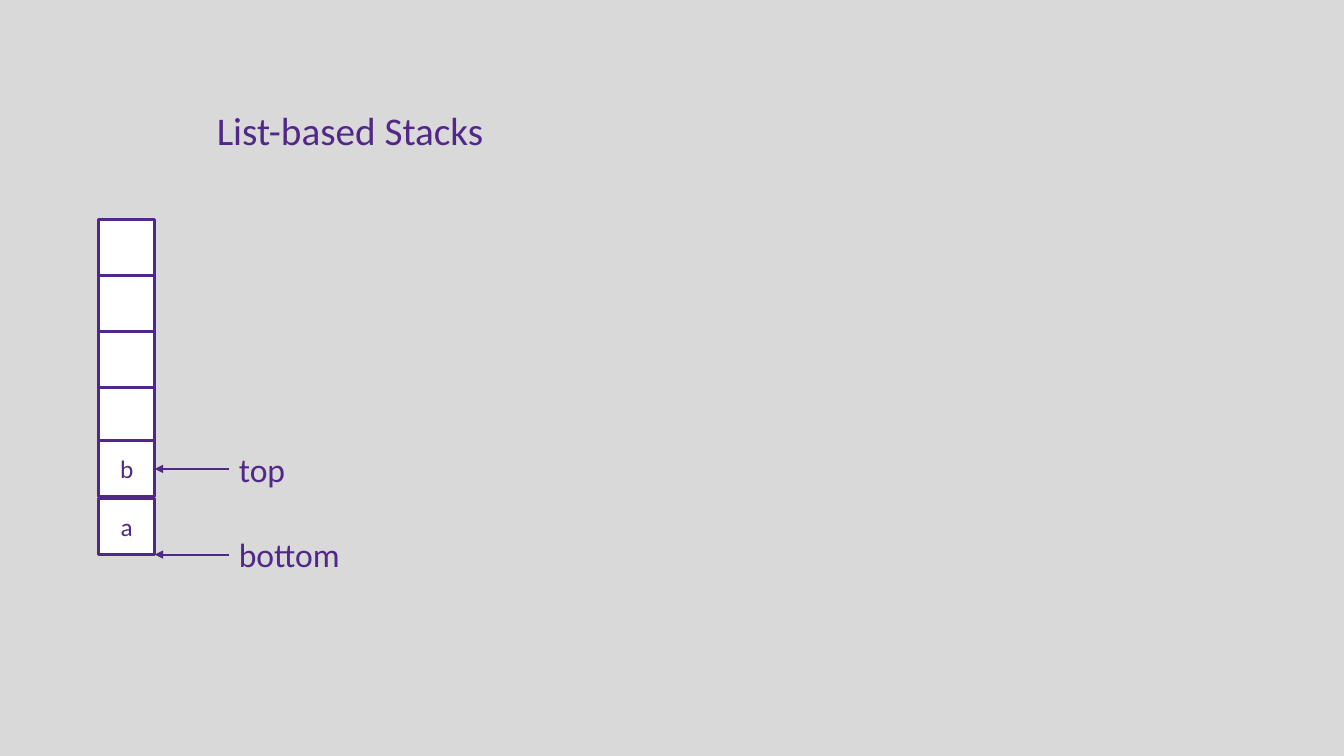
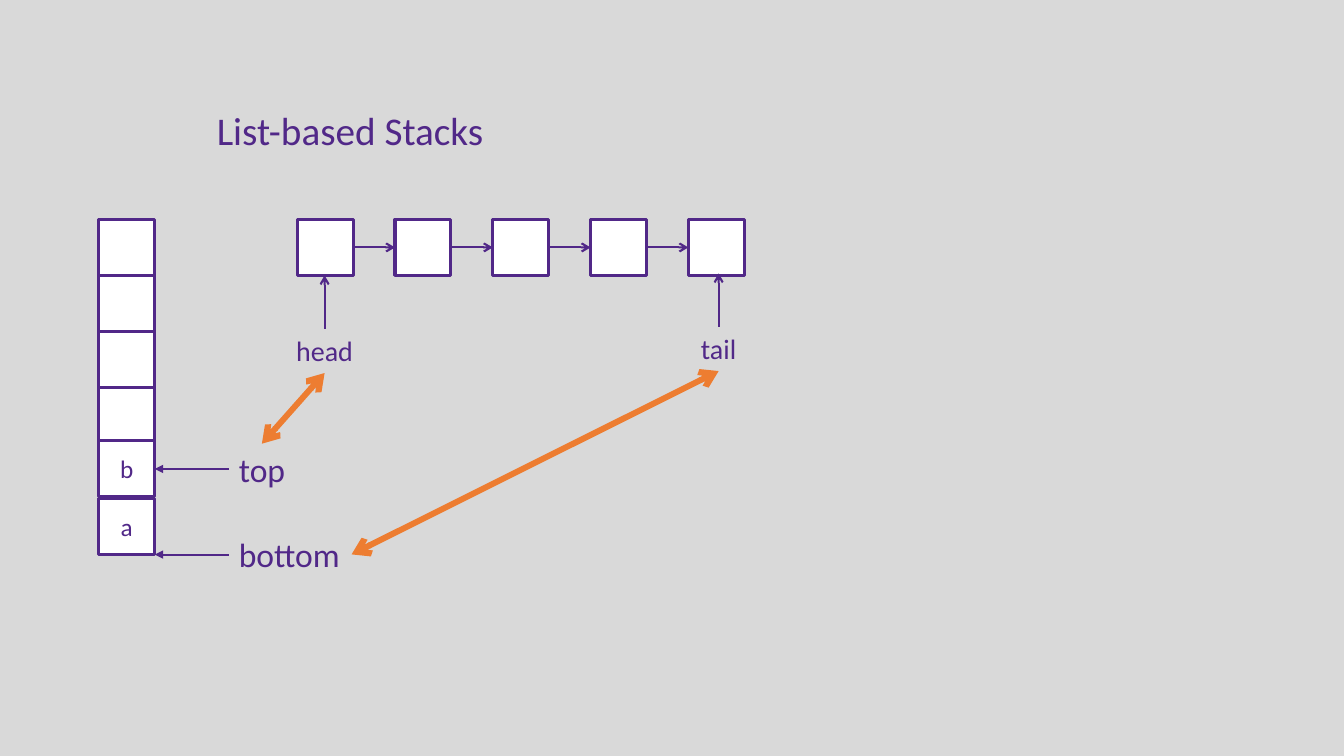
from pptx import Presentation
from pptx.dml.color import RGBColor
from pptx.enum.shapes import MSO_CONNECTOR as CONN, MSO_SHAPE as SHAPE
from pptx.enum.text import MSO_ANCHOR as ANCHOR, MSO_AUTO_SIZE as AUTO, PP_ALIGN as ALIGN
from pptx.oxml.ns import qn
from pptx.util import Cm, Pt
from lxml.etree import SubElement

COLORS = {"purple": "512888", "orange": "ED7D31", "white": "FFFFFF", "back": "D9D9D9"}
FONT = "Calibri"
TITLE = "List-based Stacks"

CELL = 1.41
TOP = 5.53
STACK_LEFT = 2.49
STACK_RIGHT = STACK_LEFT + CELL
STACK_CELLS = [("", 5.53), ("", 6.94), ("", 8.35), ("", 9.76), ("b", 11.1), ("a", 12.57)]
LABEL_LEFT = 5.77
STACK_LABELS = [("bottom", 13.34, 3.1), ("top", 11.18, 1.68)]
LABEL_H = 1.27

LIST_LEFT, LIST_STEP, LIST_COUNT = 7.49, 2.464, 5
LIST_LABELS = [("head", 8.18, 8.28), ("tail", 18.11, 8.23)]
LIST_LABEL_H = 1.12
LIST_LABEL_W = 2.08
POINTER_H = 1.34
MATCHES = [((8.18, 9.4), (6.6, 11.18)), ((18.11, 9.35), (8.86, 13.97))]


def rgb(name):
    return RGBColor.from_string(COLORS[name])


def write(tf, text, size, align=ALIGN.LEFT, wrap=False, anchor=ANCHOR.TOP, auto=AUTO.NONE):
    tf.word_wrap, tf.auto_size, tf.vertical_anchor = wrap, auto, anchor
    p = tf.paragraphs[0]
    p.alignment = align
    r = p.add_run()
    r.text = text
    r.font.name, r.font.size = FONT, Pt(size)
    r.font.color.rgb = rgb("purple")


def add_label(shapes, text, x, y, w, h, size, **style):
    sp = shapes.add_textbox(Cm(x), Cm(y), Cm(w), Cm(h))
    write(sp.text_frame, text, size, auto=AUTO.SHAPE_TO_FIT_TEXT, **style)


def add_cell(shapes, x, y, text=""):
    sp = shapes.add_shape(SHAPE.RECTANGLE, Cm(x), Cm(y), Cm(CELL), Cm(CELL))
    sp.shadow.inherit = False
    sp.fill.solid()
    sp.fill.fore_color.rgb = rgb("white")
    sp.line.color.rgb = rgb("purple")
    sp.line.width = Pt(2.25)
    if text:
        write(sp.text_frame, text, 18, ALIGN.CENTER, True, ANCHOR.MIDDLE)


def add_arrow(shapes, start, end, color="purple", width=1.5, tip="arrow", both=False):
    points = [Cm(v) for v in (*start, *end)]
    line = shapes.add_connector(CONN.STRAIGHT, *points)
    line.line.color.rgb = rgb(color)
    line.line.width = Pt(width)
    ln = line.line._get_or_add_ln()
    for tag in ("a:headEnd", "a:tailEnd") if both else ("a:tailEnd",):
        SubElement(ln, qn(tag), type=tip)
    SubElement(ln.getparent(), qn("a:effectLst"))


def add_stack_slide(prs):
    s = prs.slides.add_slide(prs.slide_layouts[5])
    title = s.shapes.title
    title.left, title.top, title.width, title.height = Cm(5.21), Cm(2.54), Cm(7.57), Cm(1.45)
    write(title.text_frame, TITLE, 28)
    stack = s.shapes.add_group_shape().shapes
    for text, y in STACK_CELLS:
        add_cell(stack, STACK_LEFT, y, text)
    for text, y, w in STACK_LABELS:
        add_label(s.shapes, text, LABEL_LEFT, y, w, LABEL_H, 24)
        mid = y + LABEL_H / 2
        add_arrow(s.shapes, (LABEL_LEFT, mid), (STACK_RIGHT, mid), tip="triangle")
    return s


def add_linked_list(s):
    nodes = s.shapes.add_group_shape().shapes
    lefts = [LIST_LEFT + i * LIST_STEP for i in range(LIST_COUNT)]
    mid = TOP + CELL / 2
    for x in lefts:
        add_cell(nodes, x, TOP)
    for x, following in zip(lefts, lefts[1:]):
        add_arrow(nodes, (x + CELL, mid), (following, mid))
    for text, x, y in LIST_LABELS:
        add_label(s.shapes, text, x - LIST_LABEL_W / 2, y, LIST_LABEL_W, LIST_LABEL_H, 20,
                  align=ALIGN.CENTER, wrap=True)
        add_arrow(s.shapes, (x, y), (x, y - POINTER_H))
    for start, end in MATCHES:
        add_arrow(s.shapes, start, end, "orange", 4.25, both=True)


def main():
    prs = Presentation()
    prs.slide_width, prs.slide_height = Cm(33.87), Cm(19.05)
    back = prs.slide_master.background.fill
    back.solid()
    back.fore_color.rgb = rgb("back")
    add_stack_slide(prs)
    add_linked_list(add_stack_slide(prs))
    prs.save("out.pptx")


if __name__ == "__main__":
    main()
